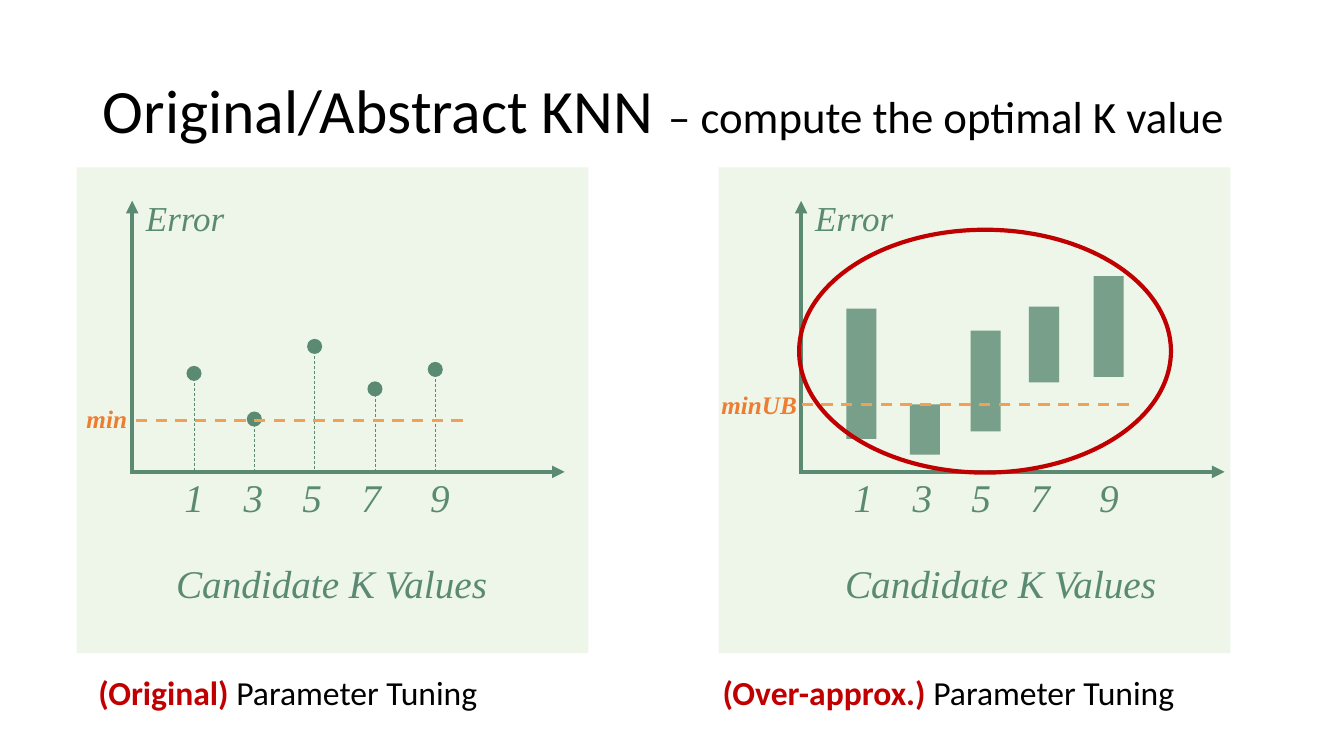
from lxml.etree import SubElement
from pptx import Presentation
from pptx.dml.color import RGBColor
from pptx.enum.dml import MSO_LINE
from pptx.enum.shapes import MSO_CONNECTOR, MSO_SHAPE
from pptx.enum.text import MSO_ANCHOR, MSO_AUTO_SIZE, PP_ALIGN
from pptx.oxml.ns import qn
from pptx.util import Cm, Pt

BLACK = RGBColor(0x00, 0x00, 0x00)
RED = RGBColor(0xC0, 0x00, 0x00)
GREEN = RGBColor(0x5B, 0x8A, 0x72)
PALE_GREEN = RGBColor(0xE2, 0xF0, 0xD9)
ORANGE = RGBColor(0xED, 0x7D, 0x31)
LIGHT_ORANGE = RGBColor(0xF2, 0xA1, 0x54)
SERIF = "Times New Roman"
SANS = "Calibri"
PANEL_TOP, PANEL_WIDTH, PANEL_HEIGHT = 4.22, 12.9, 12.24
AXIS_DROP = 7.67
DOT_SIZE, BAR_WIDTH = 0.38, 0.76
TICK_STOPS = (1.49, 2.97, 4.46, 6.19)
DOT_HEIGHTS = (5.19, 6.34, 4.51, 5.58, 5.09)
BARS = ((1.14, 3.56, 3.28), (2.74, 5.97, 1.27), (4.27, 4.11, 2.54),
        (5.74, 3.51, 1.91), (7.37, 2.74, 2.54))


def add_span(para, text, size, color, font=SANS, bold=False, italic=False):
    """Append formatted text to a paragraph."""
    span = para.add_run()
    span.text = text
    span.font.name, span.font.size = font, Pt(size)
    span.font.bold, span.font.italic = bold, italic
    span.font.color.rgb = color


def add_box(page, left, top, width, height):
    """Add an empty text box and return its first paragraph."""
    box = page.shapes.add_textbox(Cm(left), Cm(top), Cm(width), Cm(height))
    box.text_frame.word_wrap = True
    return box.text_frame.paragraphs[0]


def add_figure(page, kind, left, top, width, height, fill=None, opacity=100, line=None):
    """Add a preset shape with a fill or an outline."""
    figure = page.shapes.add_shape(kind, Cm(left), Cm(top), Cm(width), Cm(height))
    figure.shadow.inherit = False
    if fill is None:
        figure.fill.background()
    else:
        figure.fill.solid()
        figure.fill.fore_color.rgb = fill
        if opacity < 100:
            color = figure.fill._xPr.find(".//" + qn("a:srgbClr"))
            SubElement(color, qn("a:alpha"), val=str(opacity * 1000))
    if line is None:
        figure.line.fill.background()
    else:
        figure.line.color.rgb = line
        figure.line.width = Pt(3)


def add_line(page, start, end, color, width, dashed=False, arrow=False):
    """Add a straight line, dashed or ending in an arrowhead on request."""
    line = page.shapes.add_connector(MSO_CONNECTOR.STRAIGHT, Cm(start[0]), Cm(start[1]),
                                     Cm(end[0]), Cm(end[1]))
    line.line.color.rgb = color
    line.line.width = Pt(width)
    if dashed:
        line.line.dash_style = MSO_LINE.DASH
    if arrow:
        SubElement(line.line._get_or_add_ln(), qn("a:tailEnd"), type="triangle")
    SubElement(line._element.spPr, qn("a:effectLst"))


def add_title(page):
    """Fill and place the title placeholder."""
    title = page.shapes.title
    title.left, title.top, title.width, title.height = Cm(2.34), Cm(1.02), Cm(31.52), Cm(3.68)
    frame = title.text_frame
    frame.auto_size = MSO_AUTO_SIZE.NONE
    frame.vertical_anchor = MSO_ANCHOR.MIDDLE
    para = frame.paragraphs[0]
    para.alignment = PP_ALIGN.LEFT
    para.line_spacing = 0.9
    add_span(para, "Original/Abstract KNN ", 44, BLACK)
    add_span(para, "– compute the optimal K value", 32, BLACK)


def add_panel(page, left, axis, axis_length):
    """Draw the panel background, the axes and their labels."""
    top = PANEL_TOP
    base = top + AXIS_DROP
    add_figure(page, MSO_SHAPE.RECTANGLE, left, top, PANEL_WIDTH, PANEL_HEIGHT, PALE_GREEN, 60)
    add_line(page, (axis, base + 0.05), (axis, top + 0.84), GREEN, 3, arrow=True)
    add_line(page, (axis, base), (axis + axis_length, base), GREEN, 3, arrow=True)
    labels = (("Error", 0.1, 0.61, 25), ("Candidate K Values", 0.86, 9.75, 28))
    for text, shift, drop, size in labels:
        para = add_box(page, axis + shift, top + drop, 9, 1.4)
        add_span(para, text, size, GREEN, SERIF, italic=True)
    para = add_box(page, axis + 1.07, base - 0.08, 8.4, 1.45)
    stops = SubElement(para._p.get_or_add_pPr(), qn("a:tabLst"))
    for stop in TICK_STOPS:
        SubElement(stops, qn("a:tab"), pos=str(Cm(stop)), algn="l")
    add_span(para, "1\t3\t5\t7\t9", 28, GREEN, SERIF, italic=True)


def add_dots(page, axis):
    """Plot one error per candidate as a dot on a dashed stem."""
    for index, drop in enumerate(DOT_HEIGHTS):
        x, y = axis + 1.56 + 1.52 * index, PANEL_TOP + drop
        add_figure(page, MSO_SHAPE.OVAL, x - DOT_SIZE / 2, y - DOT_SIZE / 2,
                   DOT_SIZE, DOT_SIZE, GREEN)
        add_line(page, (x, y), (x, PANEL_TOP + AXIS_DROP), GREEN, 0.5, dashed=True)


def add_bars(page, axis):
    """Plot one error range per candidate as a bar."""
    for shift, drop, height in BARS:
        add_figure(page, MSO_SHAPE.RECTANGLE, axis + shift, PANEL_TOP + drop,
                   BAR_WIDTH, height, GREEN, 80)


def add_threshold(page, start, drop, text, label_left, label_top):
    """Draw the dashed minimum line and its label."""
    y = PANEL_TOP + drop
    add_line(page, (start + 8.38, y), (start, y), LIGHT_ORANGE, 2, dashed=True)
    para = add_box(page, label_left, label_top, 2.75, 1.02)
    add_span(para, text, 18, ORANGE, SERIF, bold=True, italic=True)


def add_caption(page, left, accent, rest):
    """Write the caption below a panel."""
    para = add_box(page, left, PANEL_TOP + 12.58, 13, 1.27)
    add_span(para, accent, 24, RED, bold=True)
    add_span(para, rest, 24, BLACK)


def add_original(page, left):
    """Build the left region with exact errors."""
    axis = left + 1.4
    add_panel(page, left, axis, 10.9)
    add_dots(page, axis)
    add_threshold(page, axis - 0.05, 6.38, "min", left, PANEL_TOP + 5.82)
    add_caption(page, left + 0.3, "(Original) ", "Parameter Tuning")


def add_approximation(page, left):
    """Build the right region with error ranges and their highlight."""
    axis = left + 2.08
    add_panel(page, left, axis, 10.67)
    add_bars(page, axis)
    add_threshold(page, axis - 0.13, 5.97, "minUB", left - 0.18, PANEL_TOP + 5.46)
    add_caption(page, left - 0.15, "(Over-approx.)", " Parameter Tuning")
    add_figure(page, MSO_SHAPE.OVAL, axis - 0.05, PANEL_TOP + 1.57, 9.37, 6.12, line=RED)


def main():
    """Build and save the deck."""
    deck = Presentation()
    deck.slide_width, deck.slide_height = Cm(33.87), Cm(19.05)
    page = deck.slides.add_slide(deck.slide_layouts[5])
    add_title(page)
    add_original(page, 1.93)
    add_approximation(page, 18.11)
    deck.save("out.pptx")


if __name__ == "__main__":
    main()
